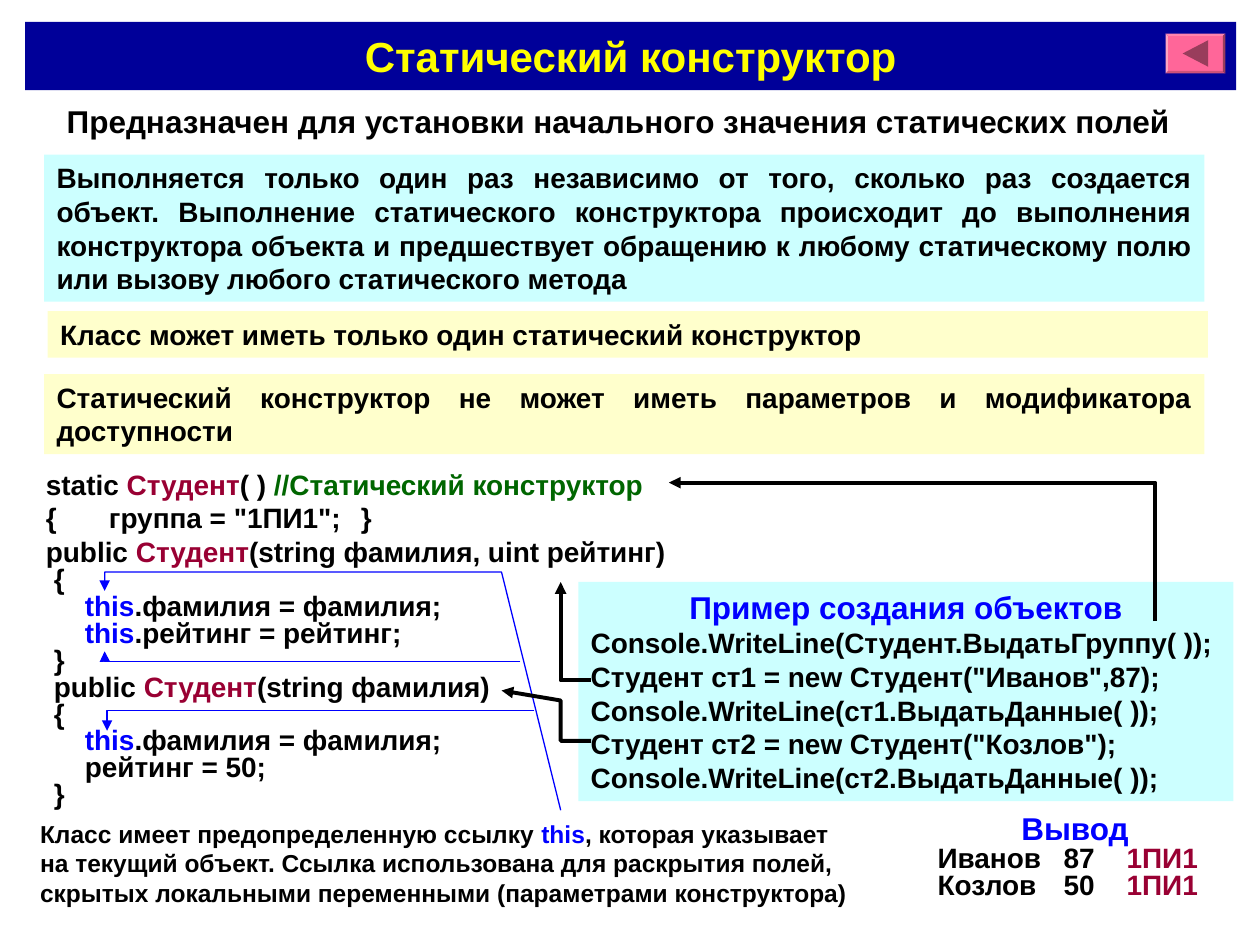
from lxml.etree import SubElement
from pptx import Presentation
from pptx.dml.color import RGBColor
from pptx.enum.shapes import MSO_SHAPE
from pptx.enum.text import MSO_ANCHOR, PP_ALIGN
from pptx.oxml.ns import qn
from pptx.util import Pt

NAVY = RGBColor(0x00, 0x00, 0x99)
YELLOW = RGBColor(0xFF, 0xFF, 0x00)
PINK = RGBColor(0xFF, 0x66, 0x99)
PLUM = RGBColor(0x99, 0x3D, 0x5C)
CYAN = RGBColor(0xCC, 0xFF, 0xFF)
CREAM = RGBColor(0xFF, 0xFF, 0xCC)
BLACK = RGBColor(0x00, 0x00, 0x00)
BLUE = RGBColor(0x00, 0x00, 0xFF)
CRIMSON = RGBColor(0x99, 0x00, 0x33)
GREEN = RGBColor(0x00, 0x66, 0x00)

FONT = "Arial"
TIGHT = 0.8
BRACE_INDENT = 4.5
BODY_INDENT = 22.25
THIS = ("this", BLUE)
STUDENT = ("Студент", CRIMSON)
GROUP = ("1ПИ1", CRIMSON)


def add_spans(para, spans, size):
    """Add bold runs; a span is plain black text or a (text, colour) pair."""
    for span in spans:
        text, colour = (span, BLACK) if isinstance(span, str) else span
        run = para.add_run()
        run.text = text
        run.font.name = FONT
        run.font.size = Pt(size)
        run.font.bold = True
        run.font.color.rgb = colour


def add_para(box, *spans, size=16, align=PP_ALIGN.LEFT, spacing=1.0, indent=0, tabs=()):
    frame = box.text_frame
    para = frame.paragraphs[0]
    if para.runs:
        para = frame.add_paragraph()
    para.alignment = align
    para.line_spacing = spacing
    properties = para._p.get_or_add_pPr()
    properties.set("marL", str(Pt(indent)))
    properties.set("indent", "0")
    if tabs:
        tab_list = SubElement(properties, qn("a:tabLst"))
        for position in tabs:
            SubElement(tab_list, qn("a:tab"), pos=str(Pt(position)), algn="l")
    add_spans(para, spans, size)


def add_box(page, left, top, width, height, fill=None):
    """Text box, or a filled rectangle when a fill is given."""
    place = Pt(left), Pt(top), Pt(width), Pt(height)
    if fill is None:
        box = page.shapes.add_textbox(*place)
    else:
        box = page.shapes.add_shape(MSO_SHAPE.RECTANGLE, *place)
        box.shadow.inherit = False
        box.fill.solid()
        box.fill.fore_color.rgb = fill
        box.line.fill.background()
    box.text_frame.word_wrap = True
    box.text_frame.vertical_anchor = MSO_ANCHOR.TOP
    return box


def add_outline(page, points, close=False):
    start, *others = [(Pt(x), Pt(y)) for x, y in points]
    builder = page.shapes.build_freeform(*start, scale=1.0)
    builder.add_line_segments(others, close=close)
    outline = builder.convert_to_shape()
    outline.shadow.inherit = False
    return outline


def add_arrow(page, points, colour, width):
    """Bent line with an arrowhead at its last point."""
    arrow = add_outline(page, points)
    arrow.fill.background()
    arrow.line.color.rgb = colour
    arrow.line.width = Pt(width)
    SubElement(arrow.line._get_or_add_ln(), qn("a:tailEnd"), type="triangle")


def add_title(page):
    title = page.shapes.title
    title.left, title.top, title.width, title.height = Pt(14.4), Pt(12.5), Pt(692), Pt(39)
    title.fill.solid()
    title.fill.fore_color.rgb = NAVY
    title.text_frame.vertical_anchor = MSO_ANCHOR.MIDDLE
    add_para(title, ("Статический конструктор", YELLOW), size=24, align=PP_ALIGN.CENTER)


def add_back_button(page):
    button = page.shapes.add_shape(MSO_SHAPE.BEVEL, Pt(666), Pt(19.2), Pt(34.2), Pt(22.8))
    button.adjustments[0] = 0.06
    button.shadow.inherit = False
    button.fill.solid()
    button.fill.fore_color.rgb = PINK
    button.line.fill.background()
    mark = add_outline(page, [(675.8, 30.6), (690.4, 23), (690.4, 38.2)], close=True)
    mark.fill.solid()
    mark.fill.fore_color.rgb = PLUM
    mark.line.fill.background()


def add_code(page):
    code = add_box(page, 19.2, 263.5, 385, 203)
    add_para(code, "static ", STUDENT, "( ) ", ("//Статический конструктор", GREEN))
    add_para(code, "{\tгруппа = \"1ПИ1\";\t}", tabs=(33, 187.5))
    add_para(code, "public ", STUDENT, "(string фамилия, uint рейтинг)")
    for indent, spans in (
        (BRACE_INDENT, ["{"]),
        (BODY_INDENT, [THIS, ".фамилия = фамилия;"]),
        (BODY_INDENT, [THIS, ".рейтинг = рейтинг;"]),
        (BRACE_INDENT, ["}"]),
        (BRACE_INDENT, ["public ", STUDENT, "(string фамилия)"]),
        (BRACE_INDENT, ["{"]),
        (BODY_INDENT, [THIS, ".фамилия = фамилия;"]),
        (BODY_INDENT, ["рейтинг = 50;"]),
        (BRACE_INDENT, ["}"]),
    ):
        add_para(code, *spans, spacing=TIGHT, indent=indent)


def add_example(page):
    example = add_box(page, 330.5, 332.6, 374.4, 125.3, CYAN)
    add_para(example, ("Пример создания объектов", BLUE), size=18, align=PP_ALIGN.CENTER)
    for line in (
        "Console.WriteLine(Студент.ВыдатьГруппу( ));",
        "Студент ст1 = new Студент(\"Иванов\",87);",
        "Console.WriteLine(ст1.ВыдатьДанные( ));",
        "Студент ст2 = new Студент(\"Козлов\");",
        "Console.WriteLine(ст2.ВыдатьДанные( ));",
    ):
        add_para(example, line)


def add_output(page):
    output = add_box(page, 524.2, 463, 175.7, 55.4)
    add_para(output, ("Вывод", BLUE), size=18, align=PP_ALIGN.CENTER,
             spacing=TIGHT, indent=BRACE_INDENT)
    for name, rating in (("Иванов", 87), ("Козлов", 50)):
        add_para(output, f"{name}\t{rating}\t", GROUP, spacing=TIGHT,
                 indent=BRACE_INDENT, tabs=(71, 102))


def add_statements(page):
    purpose = add_box(page, 31, 54.7, 663, 28.8)
    add_para(purpose, "Предназначен для установки начального значения статических полей", size=18)
    for left, top, height, fill, text in (
        (25.2, 88.4, 84, CYAN,
         "Выполняется только один раз независимо от того, сколько раз создается объект. "
         "Выполнение статического конструктора происходит до выполнения конструктора объекта "
         "и предшествует обращению к любому статическому полю или вызову любого "
         "статического метода"),
        (27.2, 177.8, 26.6, CREAM, "Класс может иметь только один статический конструктор"),
        (25.2, 213.8, 45.8, CREAM,
         "Статический конструктор не может иметь параметров и модификатора доступности"),
    ):
        add_para(add_box(page, left, top, 663, height, fill), text, align=PP_ALIGN.JUSTIFY)


def main():
    deck = Presentation()
    deck.slide_width, deck.slide_height = Pt(720), Pt(540)
    page = deck.slides.add_slide(deck.slide_layouts[5])

    # Heading
    add_title(page)
    add_back_button(page)

    # Code, its use and its output
    add_code(page)
    add_example(page)
    add_output(page)

    # Rules for static constructors
    add_statements(page)

    # Note on the reference to the current object
    note = add_box(page, 15.8, 464.4, 481, 57.6)
    add_para(note, "Класс имеет предопределенную ссылку ", THIS,
             ", которая указывает на текущий объект. Ссылка использована для раскрытия полей, "
             "скрытых локальными переменными (параметрами конструктора)", size=14)

    # Thin arrows from the note to each use of the reference
    for points in (
        [(320.4, 463), (286.6, 326.9), (59.8, 326.9), (59.8, 337.7)],
        [(297.4, 378), (59.8, 378), (59.8, 372.2)],
        [(305.3, 406.1), (61.2, 406.1), (61.2, 417.6)],
    ):
        add_arrow(page, points, BLUE, 0.75)

    # Thick arrows from the calls to the constructors
    for points in (
        [(660.2, 355), (660.2, 275.8), (382.3, 275.8)],
        [(337.7, 388.8), (320.4, 388.8), (320.4, 332.6)],
        [(337.7, 423.4), (320.4, 423.4), (320.4, 400.3), (286.6, 394.6)],
    ):
        add_arrow(page, points, BLACK, 2.25)

    deck.save("out.pptx")


if __name__ == "__main__":
    main()
